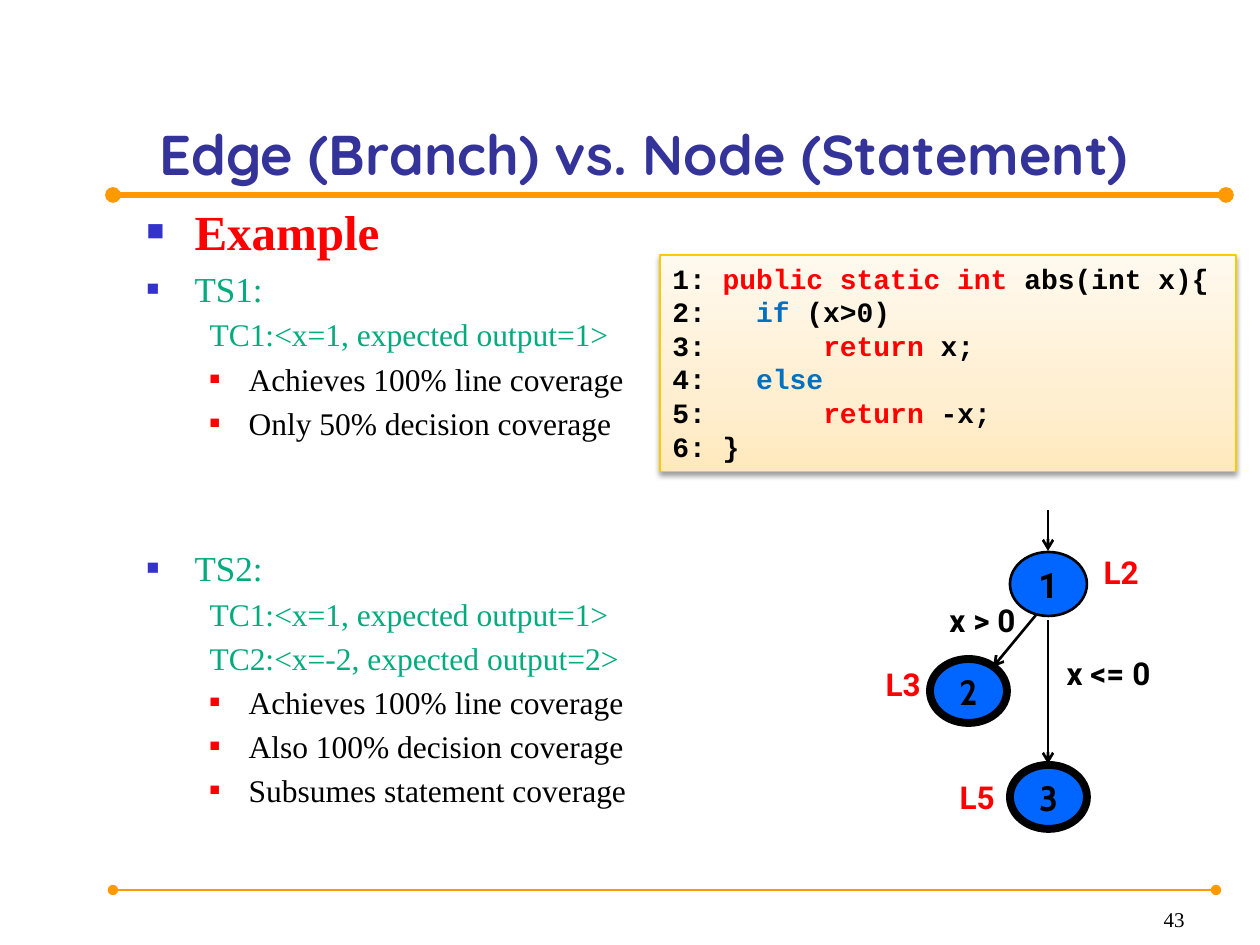
"""Build the slide that compares edge coverage with node coverage."""
from lxml.etree import SubElement
from pptx import Presentation
from pptx.dml.color import RGBColor
from pptx.enum.shapes import MSO_CONNECTOR, MSO_SHAPE
from pptx.enum.text import MSO_ANCHOR as Anchor, MSO_AUTO_SIZE as AutoSize, PP_ALIGN as Align
from pptx.oxml import parse_xml
from pptx.oxml.ns import nsdecls, qn
from pptx.util import Emu, Pt

SCALE = 914400 / 126
COLORS = {
    "title": "333399", "rule": "FF9900", "bullet": "3333CC", "red": "FF0000",
    "green": "00AB7E", "black": "000000", "blue": "0070C0", "node": "0066FF",
    "code_line": "FACB00",
}
CODE_STOPS = [(0, "FFE9BD"), (35, "FFEFD1"), (100, "FFF9EE")]
SERIF = "Times New Roman"
TITLE = "Edge (Branch) vs. Node (Statement)"

STYLES = {
    "heading": dict(level=0, size=28, color="red", bold=True, margin=48, indent=-48, bullet=("bullet", 60)),
    "suite": dict(level=0, size=20, color="green", bold=False, margin=48, indent=-48, bullet=("bullet", 60)),
    "case": dict(level=1, size=18, color="green", bold=False, margin=63, indent=0, bullet=None),
    "finding": dict(level=1, size=18, color="black", bold=False, margin=102, indent=-39, bullet=("red", 55)),
}
SUITE_GAP = 60
BODY = [
    ("heading", "Example"),
    ("suite", "TS1:"),
    ("case", "TC1:<x=1, expected output=1>"),
    ("finding", "Achieves 100% line coverage"),
    ("finding", "Only 50% decision coverage"),
    ("suite", "TS2:"),
    ("case", "TC1:<x=1, expected output=1>"),
    ("case", "TC2:<x=-2, expected output=2>"),
    ("finding", "Achieves 100% line coverage"),
    ("finding", "Also 100% decision coverage"),
    ("finding", "Subsumes statement coverage"),
]
CODE = [
    [("1: ", "black"), ("public static int ", "red"), ("abs(int x){", "black")],
    [("2:   ", "black"), ("if ", "blue"), ("(x>0)", "black")],
    [("3:       ", "black"), ("return", "red"), (" x;", "black")],
    [("4:   ", "black"), ("else", "blue")],
    [("5:       ", "black"), ("return", "red"), (" -x;", "black")],
    [("6: }", "black")],
]
RULES = [((113, 195), (1226, 195), 3), ((113, 890), (1216, 890), 1.5)]
NODES = [("3", 1010, 765, 4.5, "Cabin"), ("1", 1010, 552, 1.5, "Roboto"), ("2", 930, 659, 4.5, "Cabin")]
EDGES = [((1048, 510), (1048, 551)), ((1036, 615), (993, 667)), ((1048, 620), (1048, 764))]
CONDITIONS = [("x <= 0", (1041, 648, 135, 50)), ("x > 0", (925, 595, 115, 50))]
LINE_LABELS = [("L3", (789, 675, 144, 34)), ("L5", (863, 788, 144, 34)), ("L2", (1007, 563, 144, 32))]


def px(value):
    return Emu(round(value * SCALE))


def rgb(name):
    return RGBColor.from_string(COLORS[name])


def place(shape, bounds):
    shape.left, shape.top, shape.width, shape.height = map(px, bounds)


def style(span, font, size, color, bold):
    span.font.name, span.font.size, span.font.bold = font, Pt(size), bold
    span.font.color.rgb = rgb(color)


def add_label(page, text, bounds, font, size, color="black", bold=True, align=Align.LEFT, wrap=True):
    box = page.shapes.add_textbox(*map(px, bounds))
    frame = box.text_frame
    frame.word_wrap = wrap
    frame.text = text
    para = frame.paragraphs[0]
    para.alignment = align
    style(para.runs[0], font, size, color, bold)
    return box


def add_line(page, start, end, color, width, **ends):
    line = page.shapes.add_connector(MSO_CONNECTOR.STRAIGHT, *map(px, start + end))
    line.line.color.rgb = rgb(color)
    line.line.width = Pt(width)
    for tag, kind in ends.items():
        SubElement(line.line._get_or_add_ln(), qn(f"a:{tag}"), type=kind)
    SubElement(line._element.spPr, qn("a:effectLst"))


def set_bullet(para, margin, indent, bullet):
    props = para._p.get_or_add_pPr()
    props.set("marL", str(px(margin)))
    props.set("indent", str(px(indent)))
    if bullet is None:
        SubElement(props, qn("a:buNone"))
        return
    color, percent = bullet
    SubElement(SubElement(props, qn("a:buClr")), qn("a:srgbClr"), val=COLORS[color])
    SubElement(props, qn("a:buSzPct"), val=str(percent * 1000))
    SubElement(props, qn("a:buFont"), typeface=SERIF)
    SubElement(props, qn("a:buChar"), char="■")


def fill_title(title):
    place(title, (147, 35, 1085, 158))
    frame = title.text_frame
    frame.text = TITLE
    frame.auto_size = AutoSize.NONE
    frame.vertical_anchor = Anchor.BOTTOM
    frame.paragraphs[0].alignment = Align.LEFT
    style(frame.paragraphs[0].runs[0], "Quicksand", 32, "title", True)


def fill_body(body):
    place(body, (134, 195, 586, 674))
    frame = body.text_frame
    frame.text = "\n".join(text for _, text in BODY)
    frame.auto_size = AutoSize.NONE
    for index, (para, (kind, _)) in enumerate(zip(frame.paragraphs, BODY)):
        look = STYLES[kind]
        para.level = look["level"]
        if kind == "suite" and BODY[index - 1][0] == "finding":
            para.space_before = Pt(SUITE_GAP)
        set_bullet(para, look["margin"], look["indent"], look["bullet"])
        style(para.runs[0], SERIF, look["size"], look["color"], look["bold"])


def add_code(page):
    box = page.shapes.add_shape(MSO_SHAPE.RECTANGLE, *map(px, (660, 255, 576, 217)))
    stops = "".join(f'<a:gs pos="{pos * 1000}"><a:srgbClr val="{color}"/></a:gs>' for pos, color in CODE_STOPS)
    props = box._element.spPr
    props.append(parse_xml(f'<a:gradFill {nsdecls("a")} rotWithShape="1"><a:gsLst>{stops}</a:gsLst>'
                           '<a:lin ang="16200000" scaled="0"/></a:gradFill>'))
    box.line.color.rgb = rgb("code_line")
    box.line.width = Pt(0.75)
    box.shadow.inherit = False
    shadow = SubElement(props.find(qn("a:effectLst")), qn("a:outerShdw"), blurRad=str(Pt(3.1)),
                        dist=str(Pt(1.6)), dir="5400000", rotWithShape="0")
    shade = SubElement(shadow, qn("a:srgbClr"), val=COLORS["black"])
    SubElement(shade, qn("a:alpha"), val="38000")
    frame = box.text_frame
    frame.word_wrap = True
    frame.vertical_anchor = Anchor.TOP
    frame.text = "\n" * (len(CODE) - 1)
    for para, parts in zip(frame.paragraphs, CODE):
        para.alignment = Align.LEFT
        for text, color in parts:
            span = para.add_run()
            span.text = text
            style(span, "Courier New", 16, color, True)


def add_graph(page):
    for name, left, top, width, font in NODES:
        node = page.shapes.add_shape(MSO_SHAPE.OVAL, *map(px, (left, top, 77, 64)))
        node.shadow.inherit = False
        node.fill.solid()
        node.fill.fore_color.rgb = rgb("node")
        node.line.color.rgb = rgb("black")
        node.line.width = Pt(width)
        add_label(page, name, (left + 16, top + 5, 45, 55), font, 20, align=Align.CENTER, wrap=False)
    for start, end in EDGES:
        add_line(page, start, end, "black", 1.5, tailEnd="arrow")
    for text, bounds in CONDITIONS:
        add_label(page, text, bounds, "Roboto", 18, align=Align.CENTER)
    for text, bounds in LINE_LABELS:
        label = add_label(page, text, bounds, "Roboto", 18, "red", align=Align.RIGHT)
        label.text_frame.paragraphs[0].line_spacing = 0.5


def main():
    deck = Presentation()
    deck.slide_width, deck.slide_height = px(1260), px(945)
    page = deck.slides.add_slide(deck.slide_layouts[1])
    for start, end, width in RULES:
        add_line(page, start, end, "rule", width, headEnd="oval", tailEnd="oval")
    fill_title(page.shapes.title)
    fill_body(page.placeholders[1])
    number = add_label(page, "43", (935, 883, 262, 55), SERIF, 12, bold=False, align=Align.RIGHT)
    number.text_frame.vertical_anchor = Anchor.BOTTOM
    add_code(page)
    add_graph(page)
    deck.save("out.pptx")


if __name__ == "__main__":
    main()
